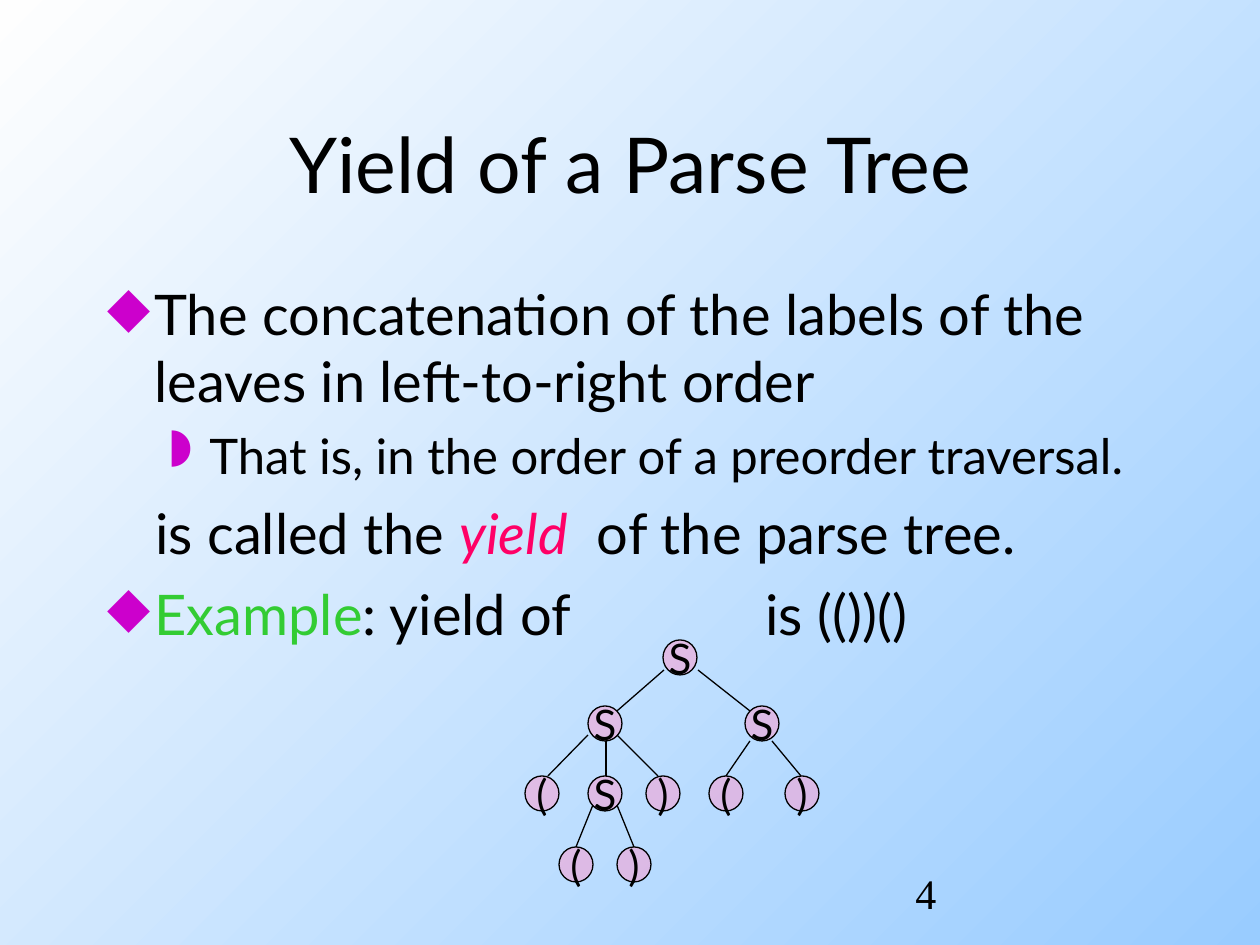
"""Build the slide on the yield of a parse tree."""
from lxml import etree
from pptx import Presentation, util as u
from pptx.dml.color import RGBColor
from pptx.enum import shapes, text
from pptx.oxml.ns import qn

PX = 914400 // 126
FONT = "Lato"
COLOURS = {
    "sky": "99CCFF", "white": "FEFEFE", "ink": "000000", "node": "FF99CC",
    "bullet": "CC00CC", "term": "FF0066", "example": "33CC33",
}
TITLE = ("Yield of a Parse Tree", (95, 84, 1071, 158))
BODY_BOX = (95, 273, 1071, 567)
BODY = [
    {"runs": [("The concatenation of the labels of the leaves in left-to-right order", "ink")],
     "bullet": "◆", "size": 32, "before": 8, "margin": 47, "hang": 47},
    {"runs": [("That is, in the order of a preorder traversal.", "ink")],
     "bullet": "◗", "size": 28, "before": 7, "margin": 102, "hang": 39},
    {"runs": [("is called the ", "ink"), ("yield", "term"), ("  of the parse tree.", "ink")],
     "bullet": None, "size": 32, "before": 8, "margin": 48, "hang": 0},
    {"runs": [("Example", "example"), (": yield of\tis (())()", "ink")],
     "bullet": "◆", "size": 32, "before": 8, "margin": 47, "hang": 47, "tab": 658},
]
NODE_SIZE = (34, 35)
LEVELS = [
    (640, [("S", 663)]),
    (706, [("S", 588), ("S", 745)]),
    (776, [("(", 525), ("S", 588), (")", 646), ("(", 709), (")", 785)]),
    (847, [("(", 559), (")", 617)]),
]
BRANCHES = [
    (664, 670, 617, 711), (698, 670, 750, 711),
    (588, 735, 548, 776), (606, 741, 606, 776), (617, 735, 658, 776),
    (750, 741, 726, 776), (772, 741, 801, 776),
    (593, 805, 576, 847), (617, 805, 634, 847),
]
PAGE = ("4", (903, 861, 262, 63))


def px(*lengths):
    return [length * PX for length in lengths]


def colour(name):
    return RGBColor.from_string(COLOURS[name])


def style(font, size, name=FONT):
    font.size, font.name = u.Pt(size), name
    font.color.rgb = colour("ink")


def place(shape, box):
    shape.left, shape.top, shape.width, shape.height = px(*box)


def add_title(slide):
    words, box = TITLE
    title = slide.shapes.title
    place(title, box)
    frame = title.text_frame
    frame.text = words
    frame.auto_size = text.MSO_AUTO_SIZE.NONE
    frame.vertical_anchor = text.MSO_ANCHOR.MIDDLE
    frame.paragraphs[0].alignment = text.PP_ALIGN.CENTER
    style(frame.paragraphs[0].font, 44)


def set_indent(paragraph, item):
    props = paragraph._p.get_or_add_pPr()
    props.set("marL", str(item["margin"] * PX))
    props.set("indent", str(-item["hang"] * PX))
    parts = []
    if item["bullet"]:
        tint = etree.Element(qn("a:buClr"))
        etree.SubElement(tint, qn("a:srgbClr"), val=COLOURS["bullet"])
        parts += [tint, etree.Element(qn("a:buChar"), char=item["bullet"])]
    if "tab" in item:
        tabs = etree.Element(qn("a:tabLst"))
        etree.SubElement(tabs, qn("a:tab"), pos=str(item["tab"] * PX), algn="l")
        parts.append(tabs)
    defaults = props.find(qn("a:defRPr"))
    for part in parts:
        defaults.addprevious(part)


def add_body(slide):
    frame = slide.shapes.add_textbox(*px(*BODY_BOX)).text_frame
    frame.word_wrap = True
    for index, item in enumerate(BODY):
        paragraph = frame.add_paragraph() if index else frame.paragraphs[0]
        paragraph.space_before = u.Pt(item["before"])
        style(paragraph.font, item["size"])
        set_indent(paragraph, item)
        for words, tint in item["runs"]:
            run = paragraph.add_run()
            run.text = words
            if tint != "ink":
                run.font.color.rgb = colour(tint)
            if tint == "term":
                run.font.italic = True


def add_node(tree, label, left, top):
    node = tree.shapes.add_shape(shapes.MSO_SHAPE.OVAL, *px(left, top, *NODE_SIZE))
    node.shadow.inherit = False
    node.fill.solid()
    node.fill.fore_color.rgb = colour("node")
    tint = node._element.spPr.find(qn("a:solidFill"))[0]
    etree.SubElement(tint, qn("a:alpha"), val="50000")
    node.line.color.rgb = colour("ink")
    node.line.width = u.Pt(0.75)
    frame = node.text_frame
    frame.text = label
    frame.word_wrap = False
    frame.vertical_anchor = text.MSO_ANCHOR.MIDDLE
    frame.paragraphs[0].alignment = text.PP_ALIGN.CENTER
    style(frame.paragraphs[0].font, 24)


def add_tree(slide):
    tree = slide.shapes.add_group_shape()
    for top, nodes in LEVELS:
        for label, left in nodes:
            add_node(tree, label, left, top)
    for ends in BRANCHES:
        branch = tree.shapes.add_connector(shapes.MSO_CONNECTOR.STRAIGHT, *px(*ends))
        branch.line.color.rgb = colour("ink")
        branch.line.width = u.Pt(0.75)
        etree.SubElement(branch._element.spPr, qn("a:effectLst"))


def add_page_number(slide):
    number, box = PAGE
    frame = slide.shapes.add_textbox(*px(*box)).text_frame
    frame.word_wrap = True
    frame.text = number
    style(frame.paragraphs[0].font, 24, "Times New Roman")


def main():
    deck = Presentation()
    deck.slide_width, deck.slide_height = px(1260, 945)
    slide = deck.slides.add_slide(deck.slide_layouts[5])
    backdrop = slide.background.fill
    backdrop.gradient()
    backdrop.gradient_angle = 135
    for stop, name in zip(backdrop.gradient_stops, ("sky", "white")):
        stop.color.rgb = colour(name)
    add_title(slide)
    add_body(slide)
    add_tree(slide)
    add_page_number(slide)
    deck.save("out.pptx")


if __name__ == "__main__":
    main()
